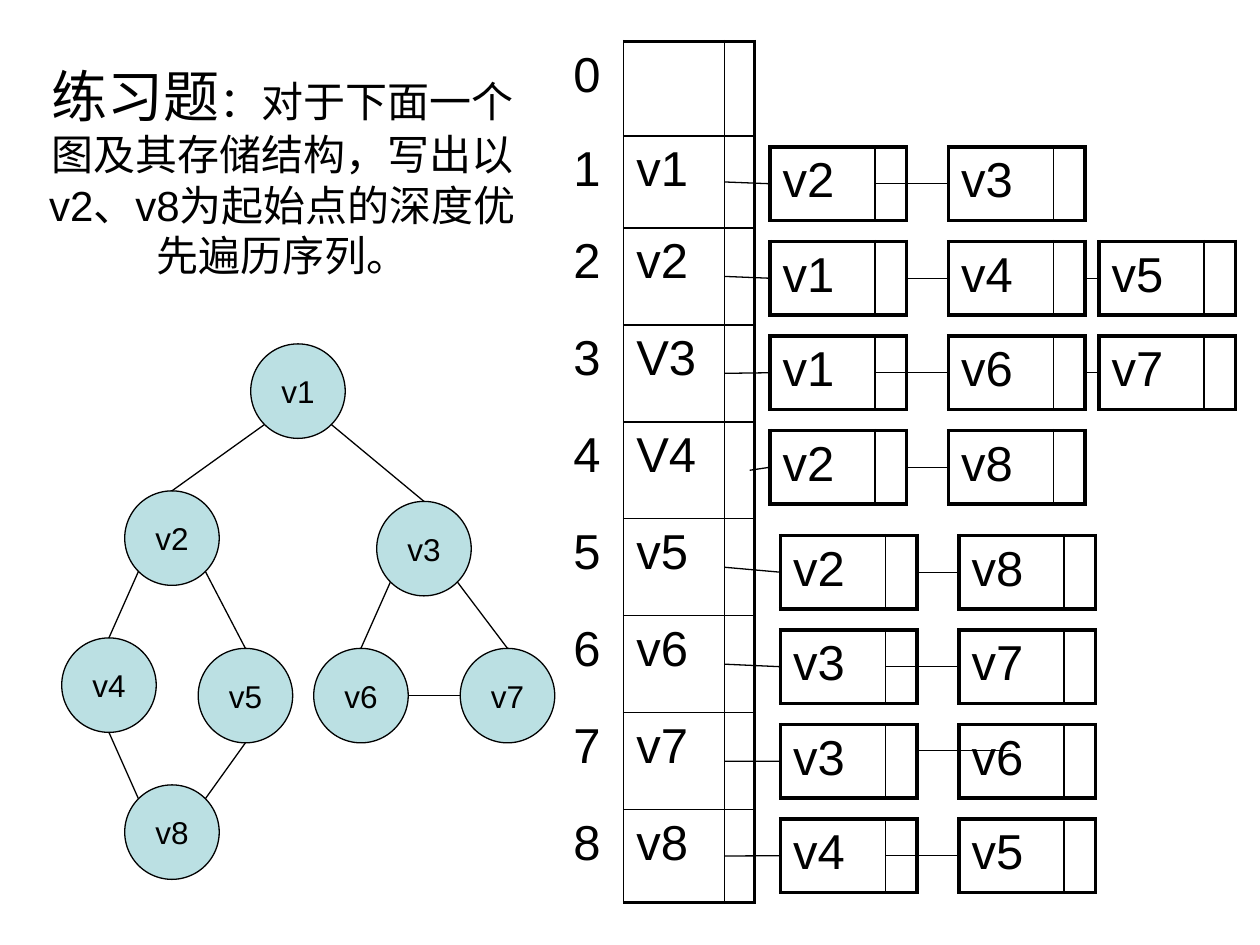
from dataclasses import dataclass

from lxml import etree
from pptx import Presentation
from pptx.dml.color import RGBColor
from pptx.enum.shapes import MSO_CONNECTOR, MSO_SHAPE
from pptx.enum.text import MSO_ANCHOR, MSO_AUTO_SIZE, PP_ALIGN
from pptx.oxml.ns import qn
from pptx.util import Pt

STRAIGHT = MSO_CONNECTOR.STRAIGHT
OVAL = MSO_SHAPE.OVAL
TOP, MIDDLE = MSO_ANCHOR.TOP, MSO_ANCHOR.MIDDLE
GROW = MSO_AUTO_SIZE.SHAPE_TO_FIT_TEXT
CENTER = PP_ALIGN.CENTER

BLACK, PALE_TEAL = "000000", "BBE0E3"
THICK, THIN, HAIRLINE = 2.25, 1, 0.75

HEADS_LEFT, HEADS_TOP = 320.4, 23.75
HEAD_COLUMNS = [36, 57.6, 16.5]
HEAD_ROWS = [54, 52.5] + [55.4] * 6 + [53]
POINTER_X = 414

NODE_COLUMNS, NODE_HEIGHT, NODE_PITCH = [60, 18], 42, 54
NODE_LEFTS = [440, 542, 628]
UPPER_TOP, LOWER_TOP, LOWER_SHIFT = 84, 306, 6

RADIUS = 27
DIAGONAL = 0.71
SITES = {
    "top": (0, -1), "bottom": (0, 1), "left": (-1, 0), "right": (1, 0),
    "top left": (-DIAGONAL, -DIAGONAL), "top right": (DIAGONAL, -DIAGONAL),
    "bottom left": (-DIAGONAL, DIAGONAL), "bottom right": (DIAGONAL, DIAGONAL),
}
VERTICES = {
    "v1": (170.25, 223.5), "v2": (98.25, 307.5), "v3": (242.25, 313.5),
    "v4": (62.25, 391.5), "v5": (140.25, 397.5), "v6": (206.25, 397.5),
    "v7": (290, 397.5), "v8": (98.25, 475.5),
}
EDGES = [
    ("v1", "bottom left", "v2", "top"), ("v1", "bottom right", "v3", "top"),
    ("v2", "bottom right", "v5", "top"), ("v3", "bottom left", "v6", "top"),
    ("v3", "bottom right", "v7", "top"), ("v4", "bottom", "v8", "top left"),
    ("v5", "bottom", "v8", "top right"), ("v6", "right", "v7", "left"),
    ("v2", "bottom left", "v4", "top"),
]


@dataclass
class Chain:
    head: str
    neighbours: list
    from_slot: bool = False
    pointer_x: float = POINTER_X
    lift: float = 0
    overrun: float = 0


CHAINS = [
    Chain("v1", ["v2", "v3"], from_slot=True),
    Chain("v2", ["v1", "v4", "v5"]),
    Chain("V3", ["v1", "v6", "v7"], from_slot=True),
    Chain("V4", ["v2", "v8"], pointer_x=428.4),
    Chain("v5", ["v2", "v8"]),
    Chain("v6", ["v3", "v7"], from_slot=True),
    Chain("v7", ["v3", "v6"], lift=6, overrun=30),
    Chain("v8", ["v4", "v5"], from_slot=True),
]


def color(value):
    return RGBColor.from_string(value)


def apply(target, values):
    for name, value in values.items():
        setattr(target, name, value)


def write(paragraph, text, size):
    run = paragraph.add_run()
    run.text = text
    apply(run.font, {"name": "Arial", "size": Pt(size), "bold": False})
    run.font.color.rgb = color(BLACK)


def set_borders(cell, widths):
    properties = cell._tc.get_or_add_tcPr()
    for side in "LRTB":
        border = etree.SubElement(properties, qn(f"a:ln{side}"))
        if side in widths:
            border.set("w", str(Pt(widths[side])))
            fill = etree.SubElement(border, qn("a:solidFill"))
            etree.SubElement(fill, qn("a:srgbClr"), val=BLACK)
        else:
            etree.SubElement(border, qn("a:noFill"))


def add_record(slide, left, top, columns, heights, rows, indexed=False):
    table = slide.shapes.add_table(
        len(heights), len(columns), Pt(left), Pt(top),
        Pt(sum(columns)), Pt(sum(heights))).table
    apply(table, {"first_row": False, "horz_banding": False})
    for column, width in zip(table.columns, columns):
        column.width = Pt(width)
    last_row, last_column = len(heights) - 1, len(columns) - 1
    for r, texts in enumerate(rows):
        table.rows[r].height = Pt(heights[r])
        for c, text in enumerate(texts):
            cell = table.cell(r, c)
            widths = {
                "L": THICK if c == 0 else THIN,
                "R": THICK if c == last_column else THIN,
                "T": THICK if r == 0 else THIN,
                "B": THICK if r == last_row else THIN,
            }
            set_borders(cell, {"R": THIN} if indexed and c == 0 else widths)
            cell.fill.background()
            if text:
                write(cell.text_frame.paragraphs[0], text, 28)


def add_link(slide, start, end):
    link = slide.shapes.add_connector(STRAIGHT, *map(Pt, start + end))
    link.line.color.rgb = color(BLACK)
    link.line.width = Pt(HAIRLINE)
    etree.SubElement(link._element.spPr, qn("a:effectLst"))


def add_vertex(slide, label, center):
    x, y = center
    vertex = slide.shapes.add_shape(
        OVAL, Pt(x - RADIUS), Pt(y - RADIUS), Pt(2 * RADIUS), Pt(2 * RADIUS))
    vertex.shadow.inherit = False
    vertex.fill.solid()
    vertex.fill.fore_color.rgb = color(PALE_TEAL)
    vertex.line.color.rgb = color(BLACK)
    vertex.line.width = Pt(HAIRLINE)
    frame = vertex.text_frame
    apply(frame, {"word_wrap": False, "vertical_anchor": MIDDLE,
                  "margin_left": 0, "margin_right": 0,
                  "margin_top": 0, "margin_bottom": 0})
    frame.paragraphs[0].alignment = CENTER
    write(frame.paragraphs[0], label, 18)


def site(label, name):
    (x, y), (dx, dy) = VERTICES[label], SITES[name]
    return x + dx * RADIUS, y + dy * RADIUS


def node_places(position, chain):
    block, step = divmod(position, 4)
    top = (LOWER_TOP if block else UPPER_TOP) + NODE_PITCH * step
    lefts = [left + LOWER_SHIFT * block for left in NODE_LEFTS]
    return lefts[:len(chain.neighbours)], top


def add_chain_nodes(slide, position, chain):
    lefts, top = node_places(position, chain)
    for left, label in zip(lefts, chain.neighbours):
        add_record(slide, left, top, NODE_COLUMNS, [NODE_HEIGHT], [[label, ""]])


def add_chain_links(slide, position, chain):
    lefts, top = node_places(position, chain)
    row = position + 1
    head_y = HEADS_TOP + sum(HEAD_ROWS[:row]) + HEAD_ROWS[row] / 2
    node_y = top + NODE_HEIGHT / 2
    add_link(slide, (chain.pointer_x, head_y), (lefts[0], node_y))
    for i, (left, following) in enumerate(zip(lefts, lefts[1:])):
        inside = chain.from_slot and i == 0
        start_x = left + (NODE_COLUMNS[0] if inside else sum(NODE_COLUMNS))
        y = node_y - chain.lift
        add_link(slide, (start_x, y), (following + chain.overrun, y))


def add_question(slide):
    question = slide.shapes.title
    apply(question, {"left": Pt(19.5), "top": Pt(31.7),
                     "width": Pt(283.7), "height": Pt(133.2)})
    frame = question.text_frame
    apply(frame, {"word_wrap": True, "auto_size": GROW, "vertical_anchor": TOP})
    paragraph = frame.paragraphs[0]
    paragraph.alignment = CENTER
    write(paragraph, "练习题", 32)
    write(paragraph, "：对于下面一个图及其存储结构，写出以v2、v8为起始点的深度优先遍历序列。", 24)


def main():
    deck = Presentation()
    apply(deck, {"slide_width": Pt(720), "slide_height": Pt(540)})
    slide = deck.slides.add_slide(deck.slide_layouts[5])
    add_question(slide)
    labels = [""] + [chain.head for chain in CHAINS]
    heads = [[str(i), label, ""] for i, label in enumerate(labels)]
    add_record(slide, HEADS_LEFT, HEADS_TOP, HEAD_COLUMNS, HEAD_ROWS, heads, indexed=True)
    for add_part in (add_chain_nodes, add_chain_links):
        for position, chain in enumerate(CHAINS):
            add_part(slide, position, chain)
    for label, center in VERTICES.items():
        add_vertex(slide, label, center)
    for start, start_site, end, end_site in EDGES:
        add_link(slide, site(start, start_site), site(end, end_site))
    deck.save("out.pptx")


if __name__ == "__main__":
    main()
